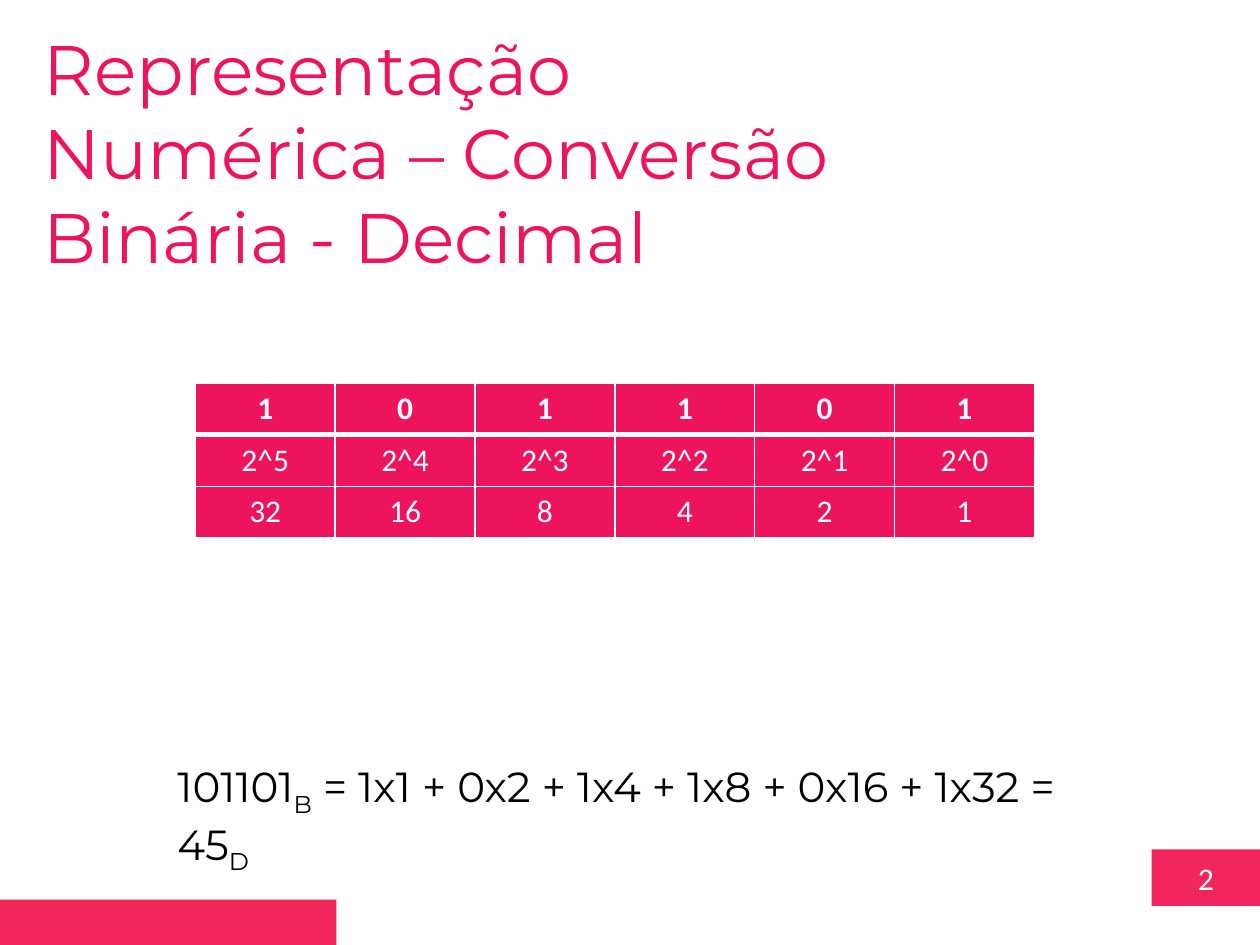
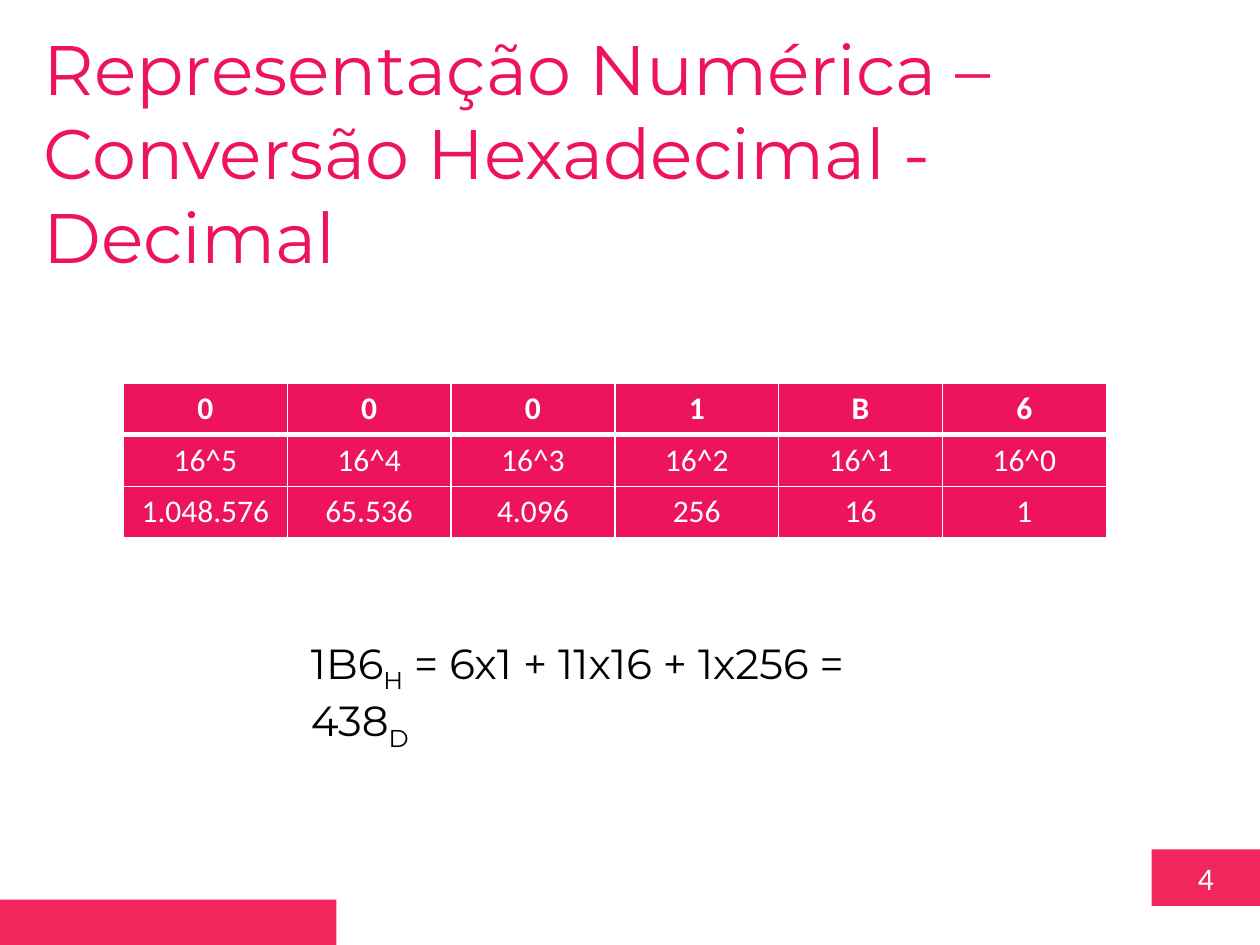
import pptx
import pptx.dml.color
import pptx.enum.shapes
import pptx.enum.text
import pptx.oxml
import pptx.oxml.ns
import pptx.util

Inches, Pt = pptx.util.Inches, pptx.util.Pt
RGB = pptx.dml.color.RGBColor.from_string
CENTER = pptx.enum.text.PP_ALIGN.CENTER
MIDDLE = pptx.enum.text.MSO_ANCHOR.MIDDLE

# Theme: colours and type styles
THEME = {
    "band": RGB("F0265D"),
    "cell": RGB("ED145B"),
    "border": "FFFFFF",
    "title": {"name": "Montserrat", "size": Pt(40), "color": RGB("ED145B")},
    "formula": {"name": "Montserrat", "size": Pt(24), "color": RGB("000000")},
    "label": {"name": "Calibri", "size": Pt(18), "color": RGB("FFFFFF"), "bold": False},
}
THEME["header"] = {**THEME["label"], "bold": True}

CONVERSIONS = [
    {"page": "2", "title": "Representação Numérica – Conversão Binária - Decimal",
     "title_width": 6.92, "digits": "101101", "base": 2,
     "table_left": 1.55, "col_width": 1.11, "formula_at": (1.31, 5.99, 7.39, 0.5),
     "formula": [("101101", "B"), (" = 1x1 + 0x2 + 1x4 + 1x8 + 0x16 + 1x32 = 45", "D")]},
    {"page": "4", "title": "Representação Numérica – Conversão Hexadecimal - Decimal",
     "title_width": 7.97, "digits": "0001B6", "base": 16,
     "table_left": 0.98, "col_width": 1.3, "formula_at": (2.37, 5.01, 5.27, 0.5),
     "formula": [("1B6", "H"), (" = 6x1 + 11x16 + 1x256 = 438", "D")]},
]
ROW_HEIGHT = 0.41


def add_run(p, text, style):
    r = p.add_run()
    r.text = text
    for name, value in THEME[style].items():
        if name == "color":
            r.font.color.rgb = value
        else:
            setattr(r.font, name, value)
    return r


def add_text_box(s, at):
    tf = s.shapes.add_textbox(*map(Inches, at)).text_frame
    tf.word_wrap = True
    tf.auto_size = pptx.enum.text.MSO_AUTO_SIZE.SHAPE_TO_FIT_TEXT
    return tf.paragraphs[0]


prs = pptx.Presentation()
prs.slide_width, prs.slide_height = Inches(10), Inches(7.5)

for conv in CONVERSIONS:
    s = prs.slides.add_slide(prs.slide_layouts[6])

    # Page number block and footer band
    for at, text in [((9.14, 6.74, 0.86, 0.45), conv["page"]),
                     ((0, 7.14, 2.67, 0.36), "")]:
        sp = s.shapes.add_shape(pptx.enum.shapes.MSO_SHAPE.RECTANGLE, *map(Inches, at))
        sp.shadow.inherit = False
        sp.fill.solid()
        sp.fill.fore_color.rgb = THEME["band"]
        sp.line.fill.background()
        if text:
            sp.text_frame.vertical_anchor = MIDDLE
            p = sp.text_frame.paragraphs[0]
            p.alignment = CENTER
            add_run(p, text, "label")

    # Title
    add_run(add_text_box(s, (0.25, 0.15, conv["title_width"], 1.45)), conv["title"], "title")

    # Table: digits, powers of the base, place values
    base, n = conv["base"], len(conv["digits"])
    exponents = range(n - 1, -1, -1)
    rows = [
        list(conv["digits"]),
        [f"{base}^{e}" for e in exponents],
        [f"{base ** e:,}".replace(",", ".") for e in exponents],
    ]
    table = s.shapes.add_table(
        len(rows), n, Inches(conv["table_left"]), Inches(3.04),
        Inches(conv["col_width"] * n), Inches(ROW_HEIGHT * len(rows))).table
    table.first_row = table.horz_banding = False
    for col in table.columns:
        col.width = Inches(conv["col_width"])
    for i, row in enumerate(rows):
        table.rows[i].height = Inches(ROW_HEIGHT)
        for j, text in enumerate(row):
            cell = table.cell(i, j)
            cell.fill.solid()
            cell.fill.fore_color.rgb = THEME["cell"]
            p = cell.text_frame.paragraphs[0]
            p.alignment = CENTER
            add_run(p, text, "header" if i == 0 else "label")

            # White borders, thicker under the header row
            widths = {"L": 1, "R": 1, "T": 3 if i == 1 else 1, "B": 3 if i == 0 else 1}
            tc_pr = cell._tc.get_or_add_tcPr()
            for k, (side, width) in enumerate(widths.items()):
                tc_pr.insert(k, pptx.oxml.parse_xml(
                    f'<a:ln{side} {pptx.oxml.ns.nsdecls("a")} w="{Pt(width)}"><a:solidFill>'
                    f'<a:srgbClr val="{THEME["border"]}"/></a:solidFill></a:ln{side}>'))

    # Worked conversion, with each base as a subscript
    p = add_text_box(s, conv["formula_at"])
    for text, subscript in conv["formula"]:
        add_run(p, text, "formula")
        r = add_run(p, subscript, "formula")
        r.font._element.set("baseline", "-25000")

prs.save("out.pptx")
